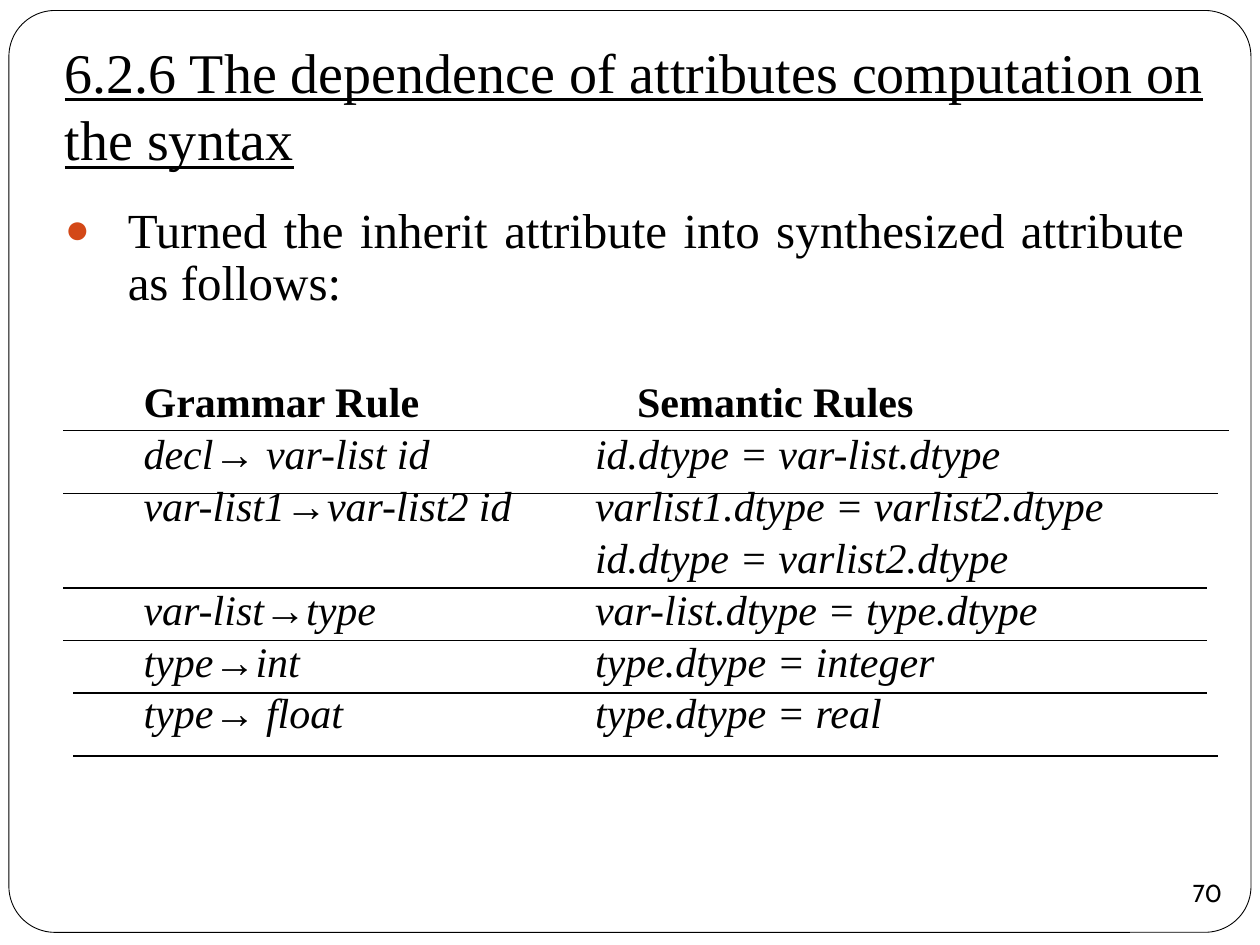
from dataclasses import dataclass
from lxml.etree import SubElement
from pptx import Presentation
from pptx.dml.color import RGBColor
from pptx.enum.shapes import MSO_CONNECTOR, MSO_SHAPE
from pptx.enum.text import MSO_ANCHOR, PP_ALIGN
from pptx.oxml.ns import qn
from pptx.util import Inches, Pt


@dataclass(frozen=True)
class Theme:
    """Colours, fonts and type sizes."""
    ink: RGBColor = RGBColor(0, 0, 0)
    paper: RGBColor = RGBColor(255, 255, 255)
    dot: str = "D34817"
    serif: str = "Times New Roman"
    arrow: str = "Arial"
    label: str = "Cabin"
    head: int = 32
    lead: int = 28
    rule: int = 24
    small: int = 14


THEME = Theme()
WIDE, HIGH = Inches(10), Inches(7.5)
COLS, ROWS = 120, 90
RULES = [
    ("decl→ var-list id", "id.dtype = var-list.dtype"),
    ("var-list1→var-list2 id", "varlist1.dtype = varlist2.dtype"),
    ("", "id.dtype = varlist2.dtype"),
    ("var-list→type", "var-list.dtype = type.dtype"),
    ("type→int", "type.dtype = integer"),
    ("type→ float", "type.dtype = real"),
]
LINES = [(0, 0, 111), (6, 0, 110), (15, 0, 109), (20, 0, 109), (25, 1, 109), (31, 1, 110)]


def across(cols):
    """Turn grid columns into a length."""
    return round(WIDE * cols / COLS)


def down(rows):
    """Turn grid rows into a length."""
    return round(HIGH * rows / ROWS)


def place(box):
    """Turn a grid box into left, top, width and height."""
    left, top, width, height = box
    return across(left), down(top), across(width), down(height)


def write(frame, text, size, font=THEME.serif, align=PP_ALIGN.LEFT, space=0,
          pitch=1.0, tabs=(), bullet=None, bold=False, italic=False, under=False):
    """Add a formatted paragraph, with arrows in their own font."""
    para = frame.paragraphs[0]
    if para.runs:
        para = frame.add_paragraph()
    props = para._p.get_or_add_pPr()
    if bullet:
        hang = across(6)
        props.set("marL", str(hang))
        props.set("indent", str(-hang))
        tint = SubElement(props, qn("a:buClr"))
        SubElement(tint, qn("a:srgbClr"), val=THEME.dot)
        SubElement(props, qn("a:buSzPct"), val="85000")
        SubElement(props, qn("a:buFont"), typeface=THEME.arrow)
        SubElement(props, qn("a:buChar"), char=bullet)
    if tabs:
        stops = SubElement(props, qn("a:tabLst"))
        for stop in tabs:
            SubElement(stops, qn("a:tab"), pos=str(across(stop)), algn="l")
    para.alignment = align
    para.line_spacing = pitch
    para.space_before = Pt(space)
    start, *rest = text.split("→")
    for part in [start] + [bit for tail in rest for bit in ("→", tail)]:
        if not part:
            continue
        run = para.add_run()
        run.text = part
        face = run.font
        face.name = THEME.arrow if part == "→" else font
        face.size = Pt(size)
        face.color.rgb = THEME.ink
        face.bold, face.italic, face.underline = bold, italic, under


def panel(slide, box):
    """Add a wrapping text frame."""
    frame = slide.shapes.add_textbox(*place(box)).text_frame
    frame.word_wrap = True
    return frame


def border(slide, box):
    """Draw the rounded border."""
    shape = slide.shapes.add_shape(MSO_SHAPE.ROUNDED_RECTANGLE, *place(box))
    shape.shadow.inherit = False
    shape.adjustments[0] = 0.05
    shape.fill.solid()
    shape.fill.fore_color.rgb = THEME.paper
    shape.line.color.rgb = THEME.ink
    shape.line.width = Pt(0.5)


def title(slide, box):
    """Write the underlined heading."""
    write(panel(slide, box),
          "6.2.6 The dependence of attributes computation on the syntax",
          THEME.head, under=True)


def body(slide, box):
    """Write the lead point and the two columns of rules."""
    frame = panel(slide, box)
    write(frame, "Turned the inherit attribute into synthesized attribute as follows:",
          THEME.lead, align=PP_ALIGN.JUSTIFY, pitch=0.9, bullet="●")
    write(frame, "\tGrammar Rule\tSemantic Rules", THEME.rule, space=40,
          pitch=0.9, tabs=[7.5, 54.5], bold=True)
    for left, right in RULES:
        write(frame, f"\t{left}\t{right}", THEME.rule, space=3.7,
              pitch=0.9, tabs=[7.5, 50.5], italic=True)


def ruling(slide, box):
    """Draw the lines between the rules."""
    left, top = box[:2]
    for row, start, end in LINES:
        high = down(top + row)
        line = slide.shapes.add_connector(
            MSO_CONNECTOR.STRAIGHT, across(left + start), high, across(left + end), high)
        line.line.color.rgb = THEME.ink
        line.line.width = Pt(0.75)
        SubElement(line._element.spPr, qn("a:effectLst"))


def number(slide, box):
    """Write the slide number in a clear circle."""
    shape = slide.shapes.add_shape(MSO_SHAPE.OVAL, *place(box))
    shape.shadow.inherit = False
    shape.fill.background()
    shape.line.fill.background()
    frame = shape.text_frame
    frame.word_wrap = False
    frame.vertical_anchor = MSO_ANCHOR.MIDDLE
    frame.margin_left = frame.margin_right = frame.margin_top = frame.margin_bottom = 0
    write(frame, "70", THEME.small, font=THEME.label, align=PP_ALIGN.CENTER)


def main():
    """Build and save the slide."""
    deck = Presentation()
    deck.slide_width, deck.slide_height = WIDE, HIGH
    slide = deck.slides.add_slide(deck.slide_layouts[6])
    border(slide, (0.85, 1, 118.3, 87.8))
    body(slide, (5, 19, 109, 54))
    title(slide, (5, 3, 111, 14))
    ruling(slide, (6, 41, 111, 31))
    number(slide, (112, 82, 6, 6))
    deck.save("out.pptx")


if __name__ == "__main__":
    main()
